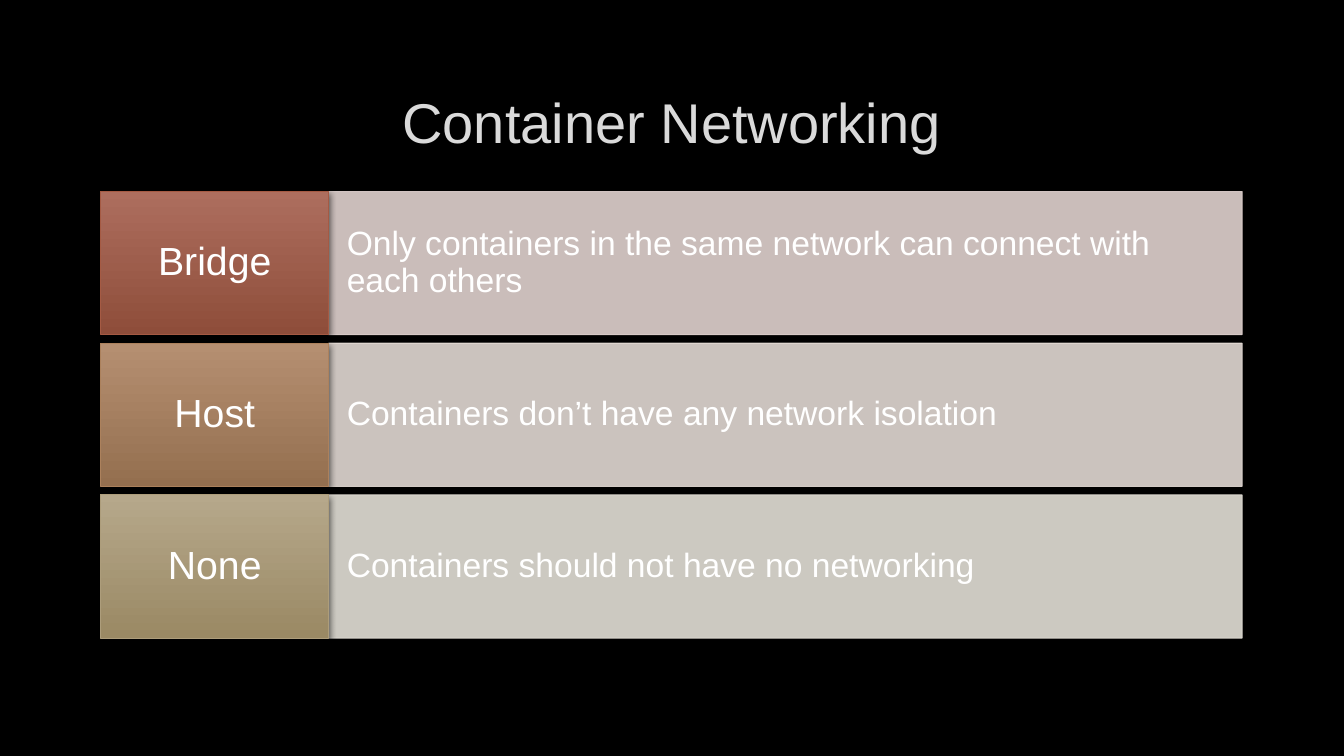
from lxml import etree
from pptx import Presentation
from pptx import util as u
from pptx.dml.color import RGBColor
from pptx.enum import shapes, text
from pptx.oxml.ns import qn

MODES = [
    ("Bridge", "Only containers in the same network can connect with each others",
     "AD6E5E", "8E4D3A", "A55A43", "E1D2CF"),
    ("Host", "Containers don’t have any network isolation",
     "B58F71", "946F4F", "AC815C", "E2D9D3"),
    ("None", "Containers should not have no networking",
     "B6A88B", "9A8964", "AD9D7B", "E3DFD7"),
]


def rgb(code):
    return RGBColor.from_string(code)


def fade(color, share):
    for node in color.iter(qn("a:srgbClr")):
        etree.SubElement(node, qn("a:alpha"), val=str(share * 1000))


def shade(shape):
    props = shape._element.spPr
    for old in props.findall(qn("a:effectLst")):
        props.remove(old)
    effects = etree.SubElement(props, qn("a:effectLst"))
    outer = etree.SubElement(
        effects, qn("a:outerShdw"), blurRad=str(u.Pt(5)), dist=str(u.Pt(2)),
        dir="5400000", algn="ctr", rotWithShape="0")
    etree.SubElement(outer, qn("a:srgbClr"), val="000000")
    fade(outer, 60)


def write(shape, words, size, color, align, pad=(0.1, 0.05), space=None):
    frame = shape.text_frame
    frame.word_wrap = True
    frame.vertical_anchor = text.MSO_ANCHOR.MIDDLE
    frame.margin_left = frame.margin_right = u.Inches(pad[0])
    frame.margin_top = frame.margin_bottom = u.Inches(pad[1])
    para = frame.paragraphs[0]
    para.alignment = align
    para.line_spacing = space
    run = para.add_run()
    run.text = words
    run.font.name = "Arial"
    run.font.size = u.Pt(size)
    run.font.color.rgb = rgb(color)


def block(slide, box, edge):
    shape = slide.shapes.add_shape(
        shapes.MSO_SHAPE.RECTANGLE, *map(u.Inches, box))
    shape.shadow.inherit = False
    shape.line.color.rgb = rgb(edge)
    shape.line.width = u.Pt(0.75)
    return shape


def title(slide, box):
    shape = slide.shapes.add_textbox(*map(u.Inches, box))
    write(shape, "Container Networking", 40, "DADADA", text.PP_ALIGN.CENTER)


def row(slide, box, mode):
    left, top, width, height = box
    name, note, light, dark, edge, pale = mode
    side = 2.26

    panel = block(slide, (left + side, top, width - side, height), pale)
    panel.fill.solid()
    panel.fill.fore_color.rgb = rgb(pale)
    fade(panel._element.spPr, 90)
    write(panel, note, 24, "FFFFFF", text.PP_ALIGN.LEFT, (0.18, 0.36), 0.9)

    label = block(slide, (left, top, side, height), edge)
    label.fill.gradient()
    label.fill.gradient_angle = 270
    for stop, color in zip(label.fill.gradient_stops, (light, dark)):
        stop.color.rgb = rgb(color)
    shade(label)
    write(label, name, 28, "FFFFFF", text.PP_ALIGN.CENTER, (0.12, 0.14), 0.9)


def rows(slide, box):
    left, top, width, height = box
    tall = 1.42
    step = (height - tall) / (len(MODES) - 1)
    for i, mode in enumerate(MODES):
        row(slide, (left, top + i * step, width, tall), mode)


def main():
    deck = Presentation()
    deck.slide_width = u.Inches(13.33)
    deck.slide_height = u.Inches(7.5)
    slide = deck.slides.add_slide(deck.slide_layouts[6])
    slide.background.fill.solid()
    slide.background.fill.fore_color.rgb = rgb("000000")
    title(slide, (1, 0.67, 11.32, 1.06))
    rows(slide, (1, 1.9, 11.32, 4.43))
    deck.save("out.pptx")


if __name__ == "__main__":
    main()
